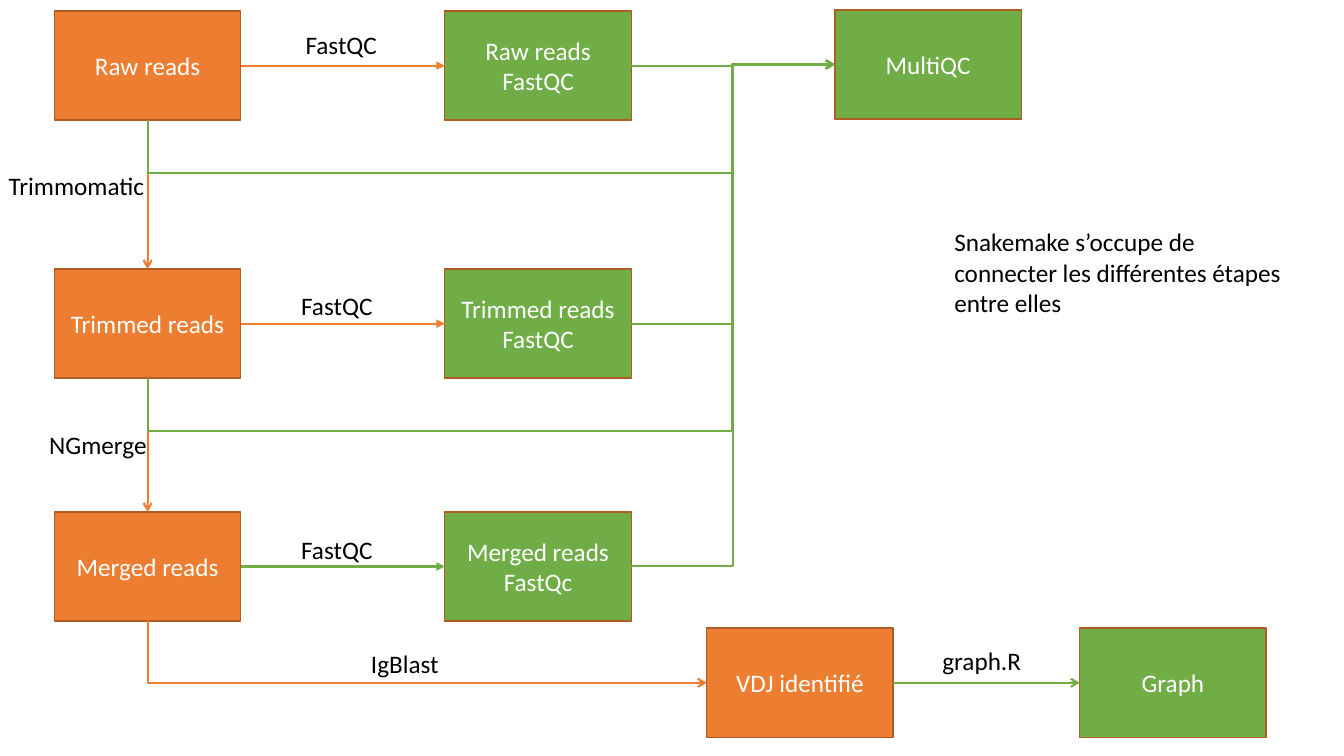
from dataclasses import dataclass

from lxml import etree
from pptx import Presentation
from pptx.dml.color import RGBColor
from pptx.enum.shapes import MSO_CONNECTOR as Link, MSO_SHAPE as Preset
from pptx.enum.text import MSO_ANCHOR as Anchor, MSO_AUTO_SIZE as AutoSize, PP_ALIGN as Align
from pptx.oxml.ns import qn
from pptx.util import Cm, Pt


@dataclass(frozen=True)
class Theme:
    data: RGBColor = RGBColor(0xED, 0x7D, 0x31)
    report: RGBColor = RGBColor(0x70, 0xAD, 0x47)
    border: RGBColor = RGBColor(0xAF, 0x5C, 0x24)
    light: RGBColor = RGBColor(0xFF, 0xFF, 0xFF)
    dark: RGBColor = RGBColor(0x00, 0x00, 0x00)
    font: str = "Calibri"
    size: Pt = Pt(18)
    border_width: Pt = Pt(1)
    arrow_width: Pt = Pt(1.5)


theme = Theme()


def write(shape, text, color, align, frame_format):
    frame = shape.text_frame
    frame.text = text
    for name, value in frame_format.items():
        setattr(frame, name, value)
    for paragraph in frame.paragraphs:
        paragraph.alignment = align
        font = paragraph.font
        for name, value in {"name": theme.font, "size": theme.size}.items():
            setattr(font, name, value)
        font.color.rgb = color


def style_arrow(shape, color, head):
    shape.line.color.rgb = color
    shape.line.width = theme.arrow_width
    line = shape.line._get_or_add_ln()
    etree.SubElement(line, qn("a:tailEnd"), type=head)
    if shape._element.spPr.find(qn("a:effectLst")) is None:
        etree.SubElement(shape._element.spPr, qn("a:effectLst"))


presentation = Presentation()
presentation.slide_width, presentation.slide_height = Cm(33.87), Cm(19.05)
slide = presentation.slides.add_slide(presentation.slide_layouts[6])
shapes = slide.shapes

# Boxes: data steps in orange, reports in green
BOX_WIDTH, BOX_HEIGHT = 4.7, 2.75
LEFT, MIDDLE, MULTIQC_LEFT = 1.37, 11.21, 21.04
RAW, TRIMMED, MERGED, LAST = 0.28, 6.78, 12.9, 15.83
boxes = {}
for key, text, left, top, color in [
    ("raw", "Raw reads", LEFT, RAW, theme.data),
    ("raw_qc", "Raw reads\nFastQC", MIDDLE, RAW, theme.report),
    ("trimmed", "Trimmed reads", LEFT, TRIMMED, theme.data),
    ("trimmed_qc", "Trimmed reads\nFastQC", MIDDLE, TRIMMED, theme.report),
    ("merged", "Merged reads", LEFT, MERGED, theme.data),
    ("merged_qc", "Merged reads\nFastQc", MIDDLE, MERGED, theme.report),
    ("multiqc", "MultiQC", MULTIQC_LEFT, 0.25, theme.report),
    ("vdj", "VDJ identifié", 17.81, LAST, theme.data),
    ("graph", "Graph", 27.21, LAST, theme.report),
]:
    box = shapes.add_shape(Preset.RECTANGLE, Cm(left), Cm(top), Cm(BOX_WIDTH), Cm(BOX_HEIGHT))
    box.shadow.inherit = False
    box.fill.solid()
    box.fill.fore_color.rgb = color
    box.line.color.rgb = theme.border
    box.line.width = theme.border_width
    write(box, text, theme.light, Align.CENTER, {"word_wrap": True, "vertical_anchor": Anchor.MIDDLE})
    boxes[key] = box

# Connectors joined to box sides
TOP_SIDE, LEFT_SIDE, BOTTOM_SIDE, RIGHT_SIDE = range(4)
for start, start_side, end, end_side, kind, color, head in [
    ("raw", BOTTOM_SIDE, "trimmed", TOP_SIDE, Link.STRAIGHT, theme.data, "arrow"),
    ("trimmed", BOTTOM_SIDE, "merged", TOP_SIDE, Link.STRAIGHT, theme.data, "arrow"),
    ("raw", RIGHT_SIDE, "raw_qc", LEFT_SIDE, Link.STRAIGHT, theme.data, "triangle"),
    ("trimmed", RIGHT_SIDE, "trimmed_qc", LEFT_SIDE, Link.STRAIGHT, theme.data, "triangle"),
    ("merged", RIGHT_SIDE, "merged_qc", LEFT_SIDE, Link.STRAIGHT, theme.report, "triangle"),
    ("merged_qc", RIGHT_SIDE, "multiqc", LEFT_SIDE, Link.ELBOW, theme.report, "arrow"),
    ("trimmed_qc", RIGHT_SIDE, "multiqc", LEFT_SIDE, Link.ELBOW, theme.report, "arrow"),
    ("raw_qc", RIGHT_SIDE, "multiqc", LEFT_SIDE, Link.ELBOW, theme.report, "arrow"),
    ("vdj", RIGHT_SIDE, "graph", LEFT_SIDE, Link.STRAIGHT, theme.report, "arrow"),
]:
    connector = shapes.add_connector(kind, 0, 0, 0, 0)
    connector.begin_connect(boxes[start], start_side)
    connector.end_connect(boxes[end], end_side)
    style_arrow(connector, color, head)

# Routes with several bends, leaving from the bottom of the data boxes
CENTER = LEFT + BOX_WIDTH / 2
DROP = 1.32
MULTIQC_Y = 0.25 + BOX_HEIGHT / 2
LAST_Y = LAST + BOX_HEIGHT / 2
routes = [
    (theme.report, [(CENTER, top + BOX_HEIGHT), (CENTER, top + BOX_HEIGHT + DROP),
                    (trunk, top + BOX_HEIGHT + DROP), (trunk, MULTIQC_Y), (MULTIQC_LEFT, MULTIQC_Y)])
    for top, trunk in [(RAW, 18.48), (TRIMMED, 18.44)]
]
routes.append((theme.data, [(CENTER, MERGED + BOX_HEIGHT), (CENTER, LAST_Y), (17.81, LAST_Y)]))
for color, points in routes:
    start, *bends = [(Cm(x), Cm(y)) for x, y in points]
    builder = shapes.build_freeform(*start)
    builder.add_line_segments(bends, close=False)
    route = builder.convert_to_shape()
    route.shadow.inherit = False
    route.fill.background()
    style_arrow(route, color, "arrow")

# Tool labels and the remark
for text, left, top, width, height in [
    ("Trimmomatic", -0.03, 4.17, 5.16, 1.02),
    ("NGmerge", 0.99, 10.7, 5.16, 1.02),
    ("FastQC", 7.45, 0.61, 2.35, 1.02),
    ("FastQC", 7.34, 7.2, 2.6, 1.02),
    ("FastQC", 7.34, 13.35, 2.6, 1.02),
    ("IgBlast", 9.1, 16.2, 5.03, 1.02),
    ("graph.R", 23.5, 16.13, 3.02, 1.02),
    ("Snakemake s’occupe de connecter les différentes étapes entre elles", 23.8, 5.59, 8.94, 2.57),
]:
    label = shapes.add_textbox(Cm(left), Cm(top), Cm(width), Cm(height))
    write(label, text, theme.dark, Align.LEFT, {"word_wrap": True, "auto_size": AutoSize.SHAPE_TO_FIT_TEXT})

presentation.save("out.pptx")
